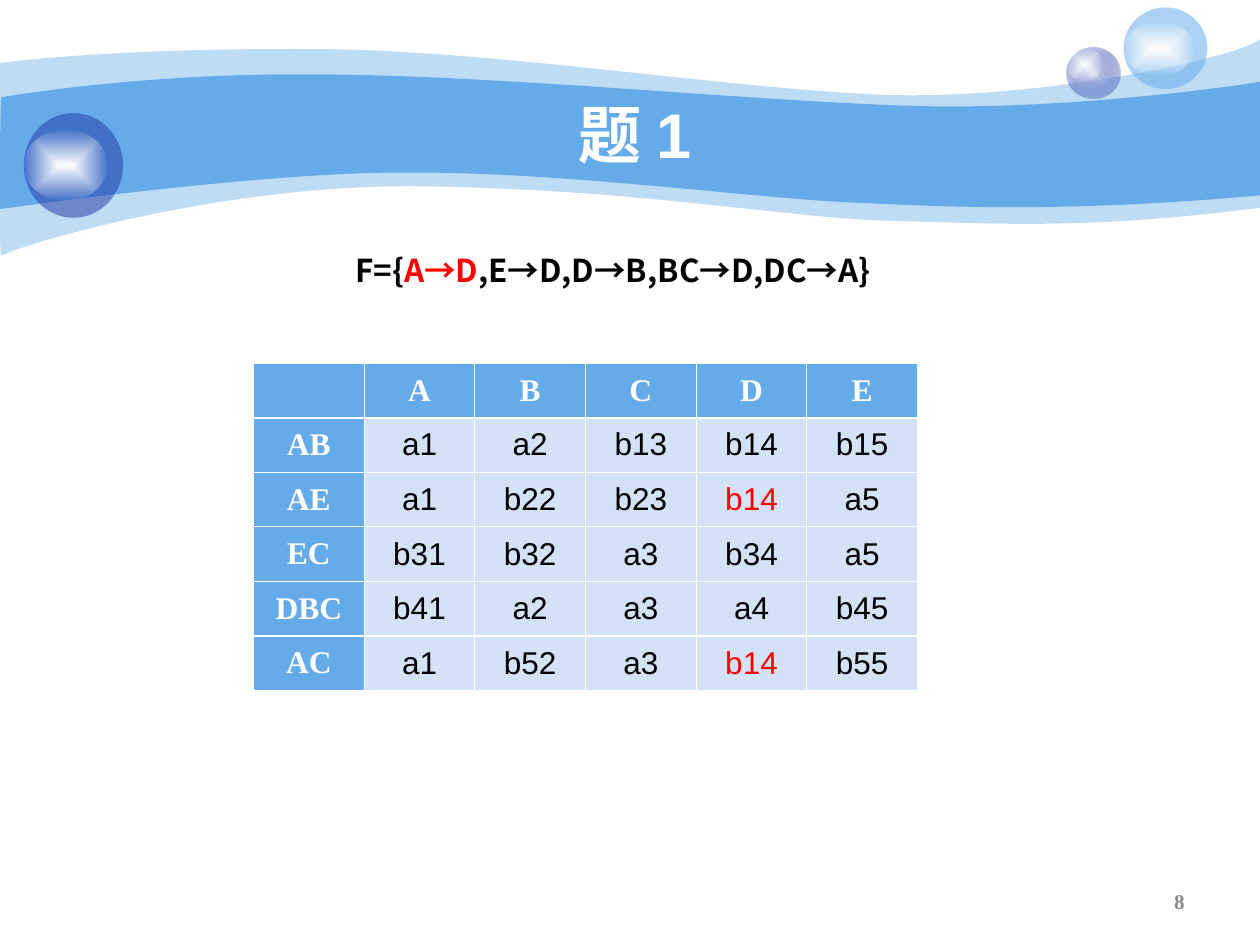
from lxml.etree import SubElement
from pptx import Presentation
from pptx.dml.color import RGBColor
from pptx.enum.shapes import MSO_SHAPE
from pptx.enum.text import MSO_ANCHOR, PP_ALIGN
from pptx.oxml import parse_xml
from pptx.oxml.ns import nsdecls, qn
from pptx.util import Cm, Pt

SKY, NAVY, LAVENDER, PALE = "65AAE9", "233DA9", "C7CEE9", "D3E2F7"
WHITE, BLACK, RED, GREY = "FFFFFF", "000000", "FF0000", "898989"
SERIF, SANS, CJK = "Times New Roman", "Arial", "Noto Sans CJK SC"

OUTER_WAVE = [
    [(0, 1.27)],
    [(0.61, 1.19), (2.72, 0.97), (6.27, 0.99)],
    [(9.8, 0.99), (14.61, 1.78), (17.75, 1.91)],
    [(20.88, 2.03), (24.89, 1.19), (25.4, 0.79)],
    [(25.4, 4.19)],
    [(21.79, 4.65), (19.99, 4.5), (17.91, 4.45)],
    [(15.8, 4.39), (13.08, 3.84), (8.71, 3.76)],
    [(4.37, 3.66), (0.1, 5.05), (0.03, 5.16)],
    [(-0.03, 5.28), (0, 1.91), (0, 1.27)],
]
INNER_WAVE = [
    [(0.03, 1.96)],
    [(0.05, 1.96), (2.79, 1.47), (6.3, 1.5)],
    [(9.8, 1.5), (15.11, 2.03), (18.24, 2.13)],
    [(21.36, 2.24), (24.79, 1.75), (25.4, 1.65)],
    [(25.4, 3.94)],
    [(21.67, 4.27), (19.43, 4.19), (17.32, 4.09)],
    [(15.21, 4.01), (11.35, 3.45), (8.05, 3.48)],
    [(5.16, 3.48), (-0.05, 4.22), (-0.03, 4.22)],
    [(0, 4.22), (0, 1.96), (0.03, 1.96)],
]
TABLEAU = [
    ["", "A", "B", "C", "D", "E"],
    ["AB", "a1", "a2", "b13", "b14", "b15"],
    ["AE", "a1", "b22", "b23", "b14", "a5"],
    ["EC", "b31", "b32", "a3", "b34", "a5"],
    ["DBC", "b41", "a2", "a3", "a4", "b45"],
    ["AC", "a1", "b52", "a3", "b14", "b55"],
]
CHANGED_CELLS = {(2, 4), (5, 4)}
THICK_RULE_ABOVE = {1, 5}


def rgb(hex_color):
    return RGBColor.from_string(hex_color)


def set_alpha(color_element, percent):
    SubElement(color_element, qn("a:alpha"), val=str(percent * 1000))


def fill_solid(shape, color, opacity=100):
    shape.shadow.inherit = False
    shape.line.fill.background()
    shape.fill.solid()
    shape.fill.fore_color.rgb = rgb(color)
    if opacity < 100:
        set_alpha(next(shape._element.spPr.iter(qn("a:srgbClr"))), opacity)


def fill_glow(shape, center, edge, edge_opacity):
    shape.shadow.inherit = False
    shape.line.fill.background()
    shape.fill.gradient()
    for stop, color in zip(shape.fill.gradient_stops, (center, edge)):
        stop.color.rgb = rgb(color)
    gradient = shape._element.spPr.find(qn("a:gradFill"))
    set_alpha(list(gradient.iter(qn("a:srgbClr")))[-1], edge_opacity)
    linear = gradient.find(qn("a:lin"))
    gradient.replace(linear, parse_xml(
        f'<a:path {nsdecls("a")} path="rect">'
        '<a:fillToRect l="50000" t="50000" r="50000" b="50000"/></a:path>'))


def bend_segments(wave, segments):
    lines = iter(list(wave._element.spPr.iter(qn("a:lnTo"))))
    for segment in segments:
        first, *others = [next(lines) for _ in segment]
        if others:
            first.tag = qn("a:cubicBezTo")
            for line in others:
                first.append(line[0])
                line.getparent().remove(line)


def curve_xml(outline):
    return [(Cm(x), Cm(y)) for x, y in outline]


def add_wave(slide, segments, opacity=100):
    start, *points = [(Cm(x), Cm(y)) for segment in segments for x, y in segment]
    builder = slide.shapes.build_freeform(*start)
    builder.add_line_segments(points, close=True)
    wave = builder.convert_to_shape()
    bend_segments(wave, segments[1:])
    fill_solid(wave, SKY, opacity)


def add_ellipse(slide, left, top, width, height):
    return slide.shapes.add_shape(
        MSO_SHAPE.OVAL, Cm(left), Cm(top), Cm(width), Cm(height))


def add_bubbles(slide):
    fill_glow(add_ellipse(slide, 21.51, 0.95, 1.08, 1.03), LAVENDER, NAVY, 31)
    fill_glow(add_ellipse(slide, 21.51, 0.97, 0.72, 0.68), WHITE, WHITE, 0)
    fill_solid(add_ellipse(slide, 22.65, 0.15, 1.69, 1.65), SKY, 53)
    fill_glow(add_ellipse(slide, 22.65, 0.43, 1.42, 1.09), WHITE, WHITE, 0)
    fill_solid(add_ellipse(slide, 0.48, 2.28, 2, 2.11), NAVY, 53)
    fill_glow(add_ellipse(slide, 0.48, 2.62, 1.68, 1.42), WHITE, WHITE, 0)


def style_run(run, size, font, color, bold):
    run.font.size = Pt(size)
    run.font.name = font
    run.font.bold = bold
    run.font.color.rgb = rgb(color)
    SubElement(run._r.get_or_add_rPr(), qn("a:ea"), typeface=CJK)


def add_text(slide, box, pieces, size, font, align, anchor=MSO_ANCHOR.MIDDLE):
    frame = slide.shapes.add_textbox(*map(Cm, box)).text_frame
    frame.word_wrap = True
    frame.vertical_anchor = anchor
    paragraph = frame.paragraphs[0]
    paragraph.alignment = align
    for words, color in pieces:
        run = paragraph.add_run()
        run.text = words
        style_run(run, size, font, color, True)


def rule_cell(cell, row):
    widths = {
        "L": 0.45,
        "R": 0.45,
        "T": 1.47 if row in THICK_RULE_ABOVE else 0.45,
        "B": 1.47 if row + 1 in THICK_RULE_ABOVE else 0.45,
    }
    properties = cell._tc.get_or_add_tcPr()
    for position, (side, width) in enumerate(widths.items()):
        properties.insert(position, parse_xml(
            f'<a:ln{side} {nsdecls("a")} w="{Pt(width)}"><a:solidFill>'
            f'<a:srgbClr val="{WHITE}"/></a:solidFill></a:ln{side}>'))


def fill_cell(cell, row, column, entry):
    heading = row == 0 or column == 0
    cell.fill.solid()
    cell.fill.fore_color.rgb = rgb(SKY if heading else PALE)
    cell.vertical_anchor = MSO_ANCHOR.MIDDLE
    cell.margin_left = cell.margin_right = Cm(0.18)
    cell.margin_top = cell.margin_bottom = Cm(0.13)
    rule_cell(cell, row)
    cell.text_frame.text = entry
    paragraph = cell.text_frame.paragraphs[0]
    paragraph.alignment = PP_ALIGN.CENTER
    body_color = RED if (row, column) in CHANGED_CELLS else BLACK
    for run in paragraph.runs:
        style_run(run, 18, SERIF if heading else SANS,
                  WHITE if heading else body_color, heading)


def add_tableau(slide):
    tableau = slide.shapes.add_table(
        len(TABLEAU), len(TABLEAU[0]), Cm(5.11), Cm(7.32), Cm(13.39), Cm(6.6)).table
    tableau.horz_banding = False
    for row, entries in enumerate(TABLEAU):
        for column, entry in enumerate(entries):
            fill_cell(tableau.cell(row, column), row, column, entry)


def main():
    deck = Presentation()
    deck.slide_width, deck.slide_height = Cm(25.4), Cm(19.05)
    slide = deck.slides.add_slide(deck.slide_layouts[6])
    add_wave(slide, OUTER_WAVE, 41)
    add_wave(slide, INNER_WAVE)
    add_bubbles(slide)
    add_text(slide, (2.54, 1.9, 20.52, 1.57), [("题 1", WHITE)], 36, SANS, PP_ALIGN.CENTER)
    add_text(slide, (18.21, 17.65, 5.92, 1.02), [("8", GREY)], 12, SERIF, PP_ALIGN.RIGHT)
    add_tableau(slide)
    dependencies = [("F={", BLACK), ("A→D", RED), (",E→D,D→B,BC→D,DC→A}", BLACK)]
    add_text(slide, (6.91, 4.93, 11.2, 1.02), dependencies, 18, CJK,
             PP_ALIGN.LEFT, MSO_ANCHOR.TOP)
    deck.save("out.pptx")


if __name__ == "__main__":
    main()
